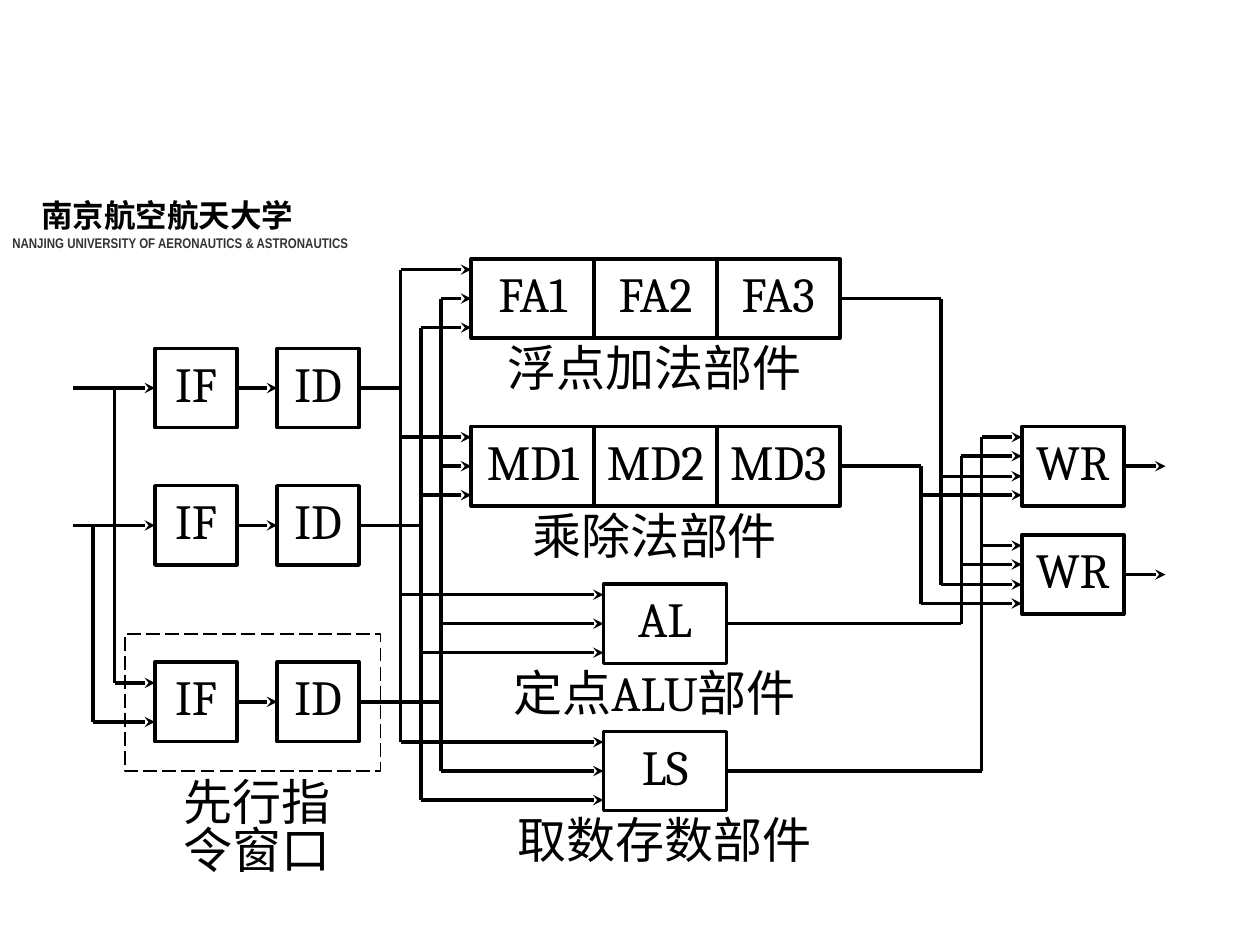
from lxml.etree import SubElement
from pptx import Presentation
from pptx.dml.color import RGBColor
from pptx.enum.dml import MSO_LINE
from pptx.enum.shapes import MSO_CONNECTOR, MSO_SHAPE
from pptx.enum.text import MSO_ANCHOR, PP_ALIGN
from pptx.oxml.ns import qn
from pptx.util import Inches, Pt

BLACK = RGBColor(0x00, 0x00, 0x00)
GRAY = RGBColor(0x33, 0x33, 0x33)

HEADER = [
    ("南京航空航天大学", "Arial", 18, BLACK, 0.23),
    ("NANJING UNIVERSITY OF AERONAUTICS & ASTRONAUTICS", "Arial Narrow", 8, GRAY, 0),
]
# stages, left, centre y, caption, caption left, output bus x, write offset
UNITS = [
    (["FA1", "FA2", "FA3"], 3.74, 2.37, "浮点加法部件", 3.74, 7.47, 0.08),
    (["MD1", "MD2", "MD3"], 3.74, 3.7, "乘除法部件", 3.74, 7.31, 0.23),
    (["AL"], 4.79, 4.95, "定点ALU部件", 3.74, 7.63, -0.08),
    (["LS"], 4.79, 6.12, "取数存数部件", 3.82, 7.79, -0.23),
]
# centre y, issue bus x, offset at each unit
LANES = [(3.08, 3.18, -0.23), (4.17, 3.34, 0.23), (5.57, 3.5, 0)]
# bypass x, source y, target y
BYPASSES = [(0.91, 3.08, 5.42), (0.74, 4.17, 5.73)]
WRITES = [3.7, 4.56]

IN_X, IF_X, ID_X, WR_X, OUT_X = 0.58, 1.23, 2.2, 8.11, 9.25
BOX_H, LANE_W, STAGE_W, WR_W = 0.63, 0.65, 0.975, 0.81
LEFT, RIGHT = 1, 3

prs = Presentation()
prs.slide_width, prs.slide_height = Inches(10), Inches(7.5)
s = prs.slides.add_slide(prs.slide_layouts[6])


def write(sp, text):
    tf = sp.text_frame
    tf.word_wrap = False
    tf.vertical_anchor = MSO_ANCHOR.MIDDLE
    tf.margin_left = tf.margin_right = Inches(0.08)
    tf.margin_top = tf.margin_bottom = Inches(0.04)
    p = tf.paragraphs[0]
    p.text = text
    p.alignment = PP_ALIGN.CENTER
    p.line_spacing = 0.8
    p.font.name, p.font.size = "Cambria", Pt(28)
    p.font.color.rgb = BLACK


def frame(x, y, w, h, width):
    sp = s.shapes.add_shape(MSO_SHAPE.RECTANGLE, Inches(x), Inches(y), Inches(w), Inches(h))
    sp.shadow.inherit = False
    sp.fill.background()
    sp.line.color.rgb = BLACK
    sp.line.width = Pt(width)
    return sp


def box(text, x, cy, w):
    sp = frame(x, cy - BOX_H / 2, w, BOX_H, 2)
    write(sp, text)
    return sp


def caption(text, x, y, w, h):
    write(s.shapes.add_textbox(Inches(x), Inches(y), Inches(w), Inches(h)), text)


def line(x1, y1, x2, y2, arrow=False, source=None, target=None):
    c = s.shapes.add_connector(
        MSO_CONNECTOR.STRAIGHT, Inches(x1), Inches(y1), Inches(x2), Inches(y2))
    c.line.color.rgb = BLACK
    c.line.width = Pt(2)
    props = c.element.spPr
    if arrow:
        SubElement(props.find(qn("a:ln")), qn("a:tailEnd"), type="stealth")
    SubElement(props, qn("a:effectLst"))
    if source is not None:
        c.begin_connect(source, RIGHT)
    if target is not None:
        c.end_connect(target, LEFT)


header = s.shapes.add_textbox(Inches(0), Inches(1.51), Inches(3.03), Inches(0.67))
tf = header.text_frame
tf.word_wrap = True
for i, (text, font, size, color, indent) in enumerate(HEADER):
    p = tf.paragraphs[0] if i == 0 else tf.add_paragraph()
    p.text = text
    p.element.get_or_add_pPr().set("marL", str(Inches(indent))) if hasattr(p, "element") \
        else p._p.get_or_add_pPr().set("marL", str(Inches(indent)))
    p.font.name, p.font.size, p.font.bold = font, Pt(size), True
    p.font.color.rgb = color

writers = [(cy, box("WR", WR_X, cy, WR_W)) for cy in WRITES]
for cy, writer in writers:
    line(WR_X + WR_W, cy, OUT_X, cy, True, source=writer)

units = []
for labels, left, cy, name, name_x, bus, offset in UNITS:
    stages = [box(t, left + i * STAGE_W, cy, STAGE_W) for i, t in enumerate(labels)]
    units.append((left, cy, stages[0]))
    caption(name, name_x, cy + BOX_H / 2, 2.91, 0.54)
    line(left + len(labels) * STAGE_W, cy, bus, cy, source=stages[-1])
    ends = [w + offset for w in WRITES]
    line(bus, min(cy, *ends), bus, max(cy, *ends))
    for y in ends:
        line(bus, y, WR_X, y, True)

for i, (cy, bus, offset) in enumerate(LANES):
    fetch = box("IF", IF_X, cy, LANE_W)
    decode = box("ID", ID_X, cy, LANE_W)
    line(IF_X + LANE_W, cy, ID_X, cy, True, fetch, decode)
    if i < len(BYPASSES):
        line(IN_X, cy, IF_X, cy, True, target=fetch)
    line(ID_X + LANE_W, cy, bus, cy, source=decode)
    line(bus, UNITS[0][2] + offset, bus, UNITS[-1][2] + offset)
    for left, y, stage in units:
        line(bus, y + offset, left, y + offset, True, target=None if offset else stage)

for x, start, end in BYPASSES:
    line(x, start, x, end)
    line(x, end, IF_X, end, True)

window = frame(0.99, 5.03, 2.03, 1.09, 1)
window.line.dash_style = MSO_LINE.LONG_DASH
caption("先行指\v令窗口", 1.31, 6.2, 1.46, 0.78)

prs.save("out.pptx")
